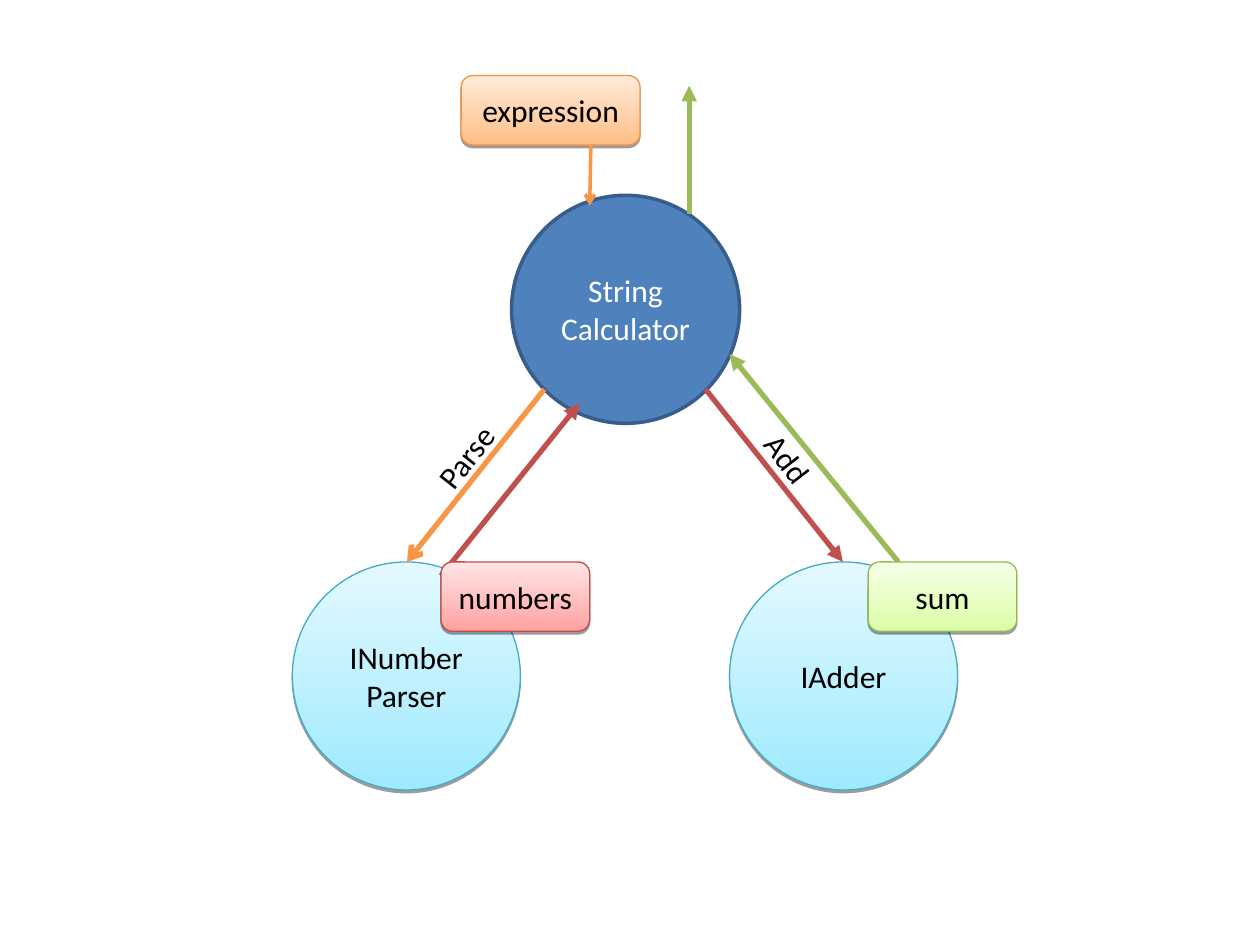
import lxml.etree
import pptx
import pptx.dml.color
import pptx.enum.shapes
import pptx.enum.text
import pptx.oxml.ns
import pptx.util

Inches = pptx.util.Inches
Pt = pptx.util.Pt
SHAPES = pptx.enum.shapes.MSO_SHAPE

COLORS = {
    "white": "FFFFFF", "black": "000000",
    "blue": "4F81BD", "navy": "385D8A",
    "orange": "F79646", "red": "C0504D", "green": "9BBB59",
}
SOFT_STYLES = {
    "aqua": ("9EEAFF", "E4F9FF", "46AAC5"),
    "orange": ("FFBE86", "FFEBDB", "F69240"),
    "red": ("FFA2A1", "FFE5E5", "BE4B48"),
    "green": ("DAFDA7", "F5FFE6", "98B954"),
}
DIAMETER = 1.81
BOX_HEIGHT = 0.55
SERVICE_TOP = 4.46


def rgb(value):
    return pptx.dml.color.RGBColor.from_string(value)


def add_xml(parent, tag, **attributes):
    return lxml.etree.SubElement(parent, pptx.oxml.ns.qn(tag), attributes)


def write_text(frame, text, color="black", size=18, font="Calibri",
               align=pptx.enum.text.PP_ALIGN.CENTER, wrap=True):
    frame.word_wrap = wrap
    paragraph = frame.paragraphs[0]
    paragraph.alignment = align
    for index, line in enumerate(text.splitlines()):
        if index:
            paragraph.add_line_break()
        run = paragraph.add_run()
        run.text = line
        run.font.size = Pt(size)
        run.font.name = font
        run.font.color.rgb = rgb(COLORS[color])


class Diagram:
    def __init__(self, slide):
        self.shapes = slide.shapes

    def node(self, kind, left, top, width, height, text, color="black"):
        node = self.shapes.add_shape(
            kind, Inches(left), Inches(top), Inches(width), Inches(height))
        node.shadow.inherit = False
        node.text_frame.vertical_anchor = pptx.enum.text.MSO_ANCHOR.MIDDLE
        write_text(node.text_frame, text, color=color)
        return node

    def soften(self, node, style):
        bottom, top, edge = SOFT_STYLES[style]
        node.fill.gradient()
        node.fill.gradient_angle = 90
        for stop, color in zip(node.fill.gradient_stops, (bottom, top)):
            stop.color.rgb = rgb(color)
        node.line.color.rgb = rgb(edge)
        node.line.width = Pt(0.75)
        effects = node._element.spPr.find(pptx.oxml.ns.qn("a:effectLst"))
        shadow = add_xml(effects, "a:outerShdw", blurRad="0", dist=str(Pt(1.6)),
                         dir="5400000", rotWithShape="0")
        shade = add_xml(shadow, "a:srgbClr", val=COLORS["black"])
        add_xml(shade, "a:alpha", val="38000")

    def main_circle(self, left, top, text):
        circle = self.node(SHAPES.OVAL, left, top, DIAMETER, DIAMETER, text, "white")
        circle.fill.solid()
        circle.fill.fore_color.rgb = rgb(COLORS["blue"])
        circle.line.color.rgb = rgb(COLORS["navy"])
        circle.line.width = Pt(2)

    def service(self, left, text):
        circle = self.node(SHAPES.OVAL, left, SERVICE_TOP, DIAMETER, DIAMETER, text)
        self.soften(circle, "aqua")

    def value_box(self, left, top, width, text, style):
        box = self.node(SHAPES.ROUNDED_RECTANGLE, left, top, width, BOX_HEIGHT, text)
        self.soften(box, style)

    def label(self, left, top, width, text, rotation):
        label = self.shapes.add_textbox(
            Inches(left), Inches(top), Inches(width), Inches(0.4))
        label.rotation = rotation
        write_text(label.text_frame, text, wrap=False,
                   align=pptx.enum.text.PP_ALIGN.LEFT)
        label.text_frame.auto_size = pptx.enum.text.MSO_AUTO_SIZE.SHAPE_TO_FIT_TEXT

    def arrow(self, start, end, color, width=3, tip="triangle"):
        arrow = self.shapes.add_connector(
            pptx.enum.shapes.MSO_CONNECTOR.STRAIGHT,
            *(Inches(value) for value in start + end))
        arrow.line.color.rgb = rgb(COLORS[color])
        arrow.line.width = Pt(width)
        add_xml(arrow.line._get_or_add_ln(), "a:tailEnd", type=tip)
        add_xml(arrow._element.spPr, "a:effectLst")


def main():
    deck = pptx.Presentation()
    deck.slide_width, deck.slide_height = Inches(10), Inches(7.5)
    diagram = Diagram(deck.slides.add_slide(deck.slide_layouts[6]))

    diagram.main_circle(4.06, 1.55, "String\nCalculator")
    diagram.service(2.32, "INumber\nParser")
    diagram.service(5.79, "IAdder")

    diagram.arrow((4.32, 3.09), (3.23, SERVICE_TOP), "orange", tip="arrow")
    diagram.label(3.32, 3.42, 0.76, "Parse", 308.3)
    diagram.label(5.95, 3.44, 0.61, "Add", 52.3)

    diagram.value_box(3.66, 0.6, 1.42, "expression", "orange")
    diagram.arrow((4.69, 1.15), (4.68, 1.63), "orange", width=2, tip="arrow")

    diagram.arrow((3.5, 4.57), (4.6, 3.2), "red")
    diagram.value_box(3.5, SERVICE_TOP, 1.18, "numbers", "red")

    diagram.arrow((5.6, 3.09), (6.69, SERVICE_TOP), "red")
    diagram.arrow((7.13, SERVICE_TOP), (5.79, 2.81), "green")
    diagram.value_box(6.89, SERVICE_TOP, 1.18, "sum", "green")
    diagram.arrow((5.47, 1.7), (5.47, 0.68), "green")

    deck.save("out.pptx")


if __name__ == "__main__":
    main()
